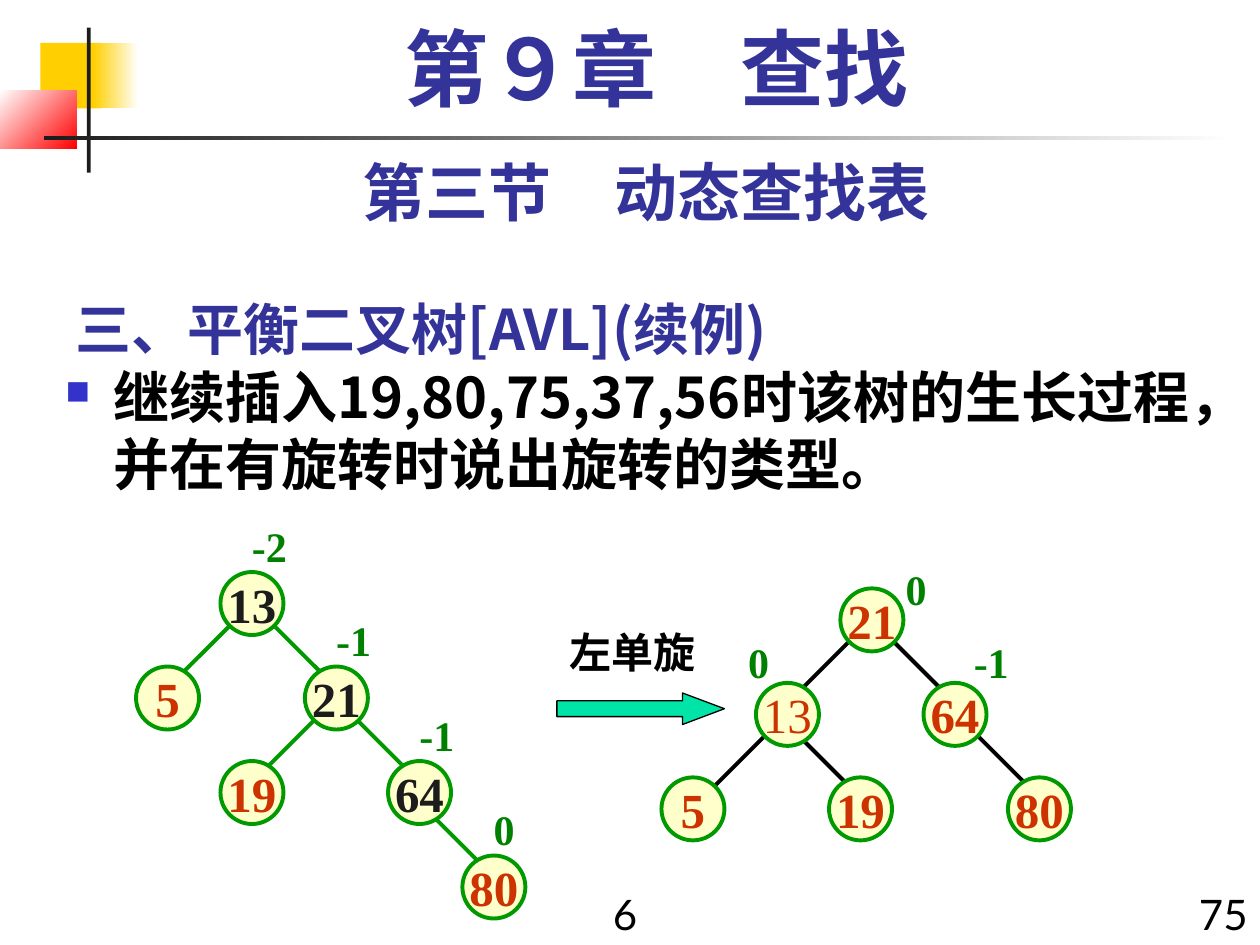
from collections import namedtuple

from lxml.etree import SubElement
from pptx import Presentation
from pptx.dml.color import RGBColor
from pptx.enum.shapes import MSO_CONNECTOR as Link, MSO_SHAPE as Kind
from pptx.enum.text import MSO_ANCHOR as Anchor, PP_ALIGN as Align
from pptx.oxml.ns import qn
from pptx.util import Inches, Pt

YELLOW = RGBColor(0xFF, 0xCF, 0x01)
WHITE = RGBColor(0xFF, 0xFF, 0xFF)
RED = RGBColor(0xFF, 0x00, 0x00)
INK = RGBColor(0x1C, 0x1C, 0x1C)
BLACK = RGBColor(0x00, 0x00, 0x00)
INDIGO = RGBColor(0x33, 0x33, 0x99)
CREAM = RGBColor(0xFF, 0xFF, 0xCC)
GREEN = RGBColor(0x00, 0x99, 0x00)
DARK_GREEN = RGBColor(0x00, 0x80, 0x00)
RUST = RGBColor(0xCC, 0x33, 0x00)
MINT = RGBColor(0x00, 0xE4, 0xA8)

SANS, LATO, SERIF = "Noto Sans CJK SC", "Lato", "Times New Roman"
NODE_SIZE, LEVEL_STEP = 0.5, 0.75

Node = namedtuple("Node", "key left level color bold balance edges", defaults=(None, ()))

UNBALANCED = [
    Node("13", 0.67, 0, INK, True, ("-2", 0.15, -0.46), [(0.08, 0.42, -0.41), (0.42, 0.42, 0.41)]),
    Node("5", 0, 1, RUST, True),
    Node("21", 1.34, 1, INK, True, ("-1", 0.15, -0.46), [(0.08, 0.42, -0.5), (0.41, 0.42, 0.42)]),
    Node("19", 0.67, 2, RUST, True),
    Node("64", 2, 2, INK, True, ("-1", 0.15, -0.46), [(0.34, 0.42, 0.5)]),
    Node("80", 2.59, 3, RUST, True, ("0", 0.15, -0.46)),
]
BALANCED = [
    Node("21", 1.42, 0, RUST, True, ("0", 0.42, -0.25), [(0.08, 0.41, -0.42), (0.33, 0.33, 0.5)]),
    Node("13", 0.75, 1, RUST, False, ("0", -0.16, -0.42), [(0.08, 0.41, -0.42), (0.33, 0.41, 0.5)]),
    Node("64", 2.08, 1, RUST, True, ("-1", 0.3, -0.42), [(0.34, 0.33, 0.5)]),
    Node("5", 0, 2, RUST, True),
    Node("19", 1.33, 2, RUST, True),
    Node("80", 2.75, 2, RUST, True),
]


def apply(target, formats):
    """Set each attribute of the target from a dict."""
    for name, value in formats.items():
        setattr(target, name, value)


def write(shape, text, size, font, color, bold=True, wrap=True, anchor=Anchor.TOP, **layout):
    """Fill a shape with one formatted paragraph and return it."""
    frame = shape.text_frame
    apply(frame, {"word_wrap": wrap, "vertical_anchor": anchor})
    para = frame.paragraphs[0]
    apply(para, {"alignment": Align.LEFT, **layout})
    span = para.add_run()
    span.text = text
    apply(span.font, {"size": Pt(size), "name": font, "bold": bold})
    span.font.color.rgb = color
    SubElement(span.font._element, qn("a:ea"), typeface=SANS)
    return para


def add_text(page, box, text, size, font, color, **formats):
    """Add a text box at the given left, top, width and height."""
    shape = page.shapes.add_textbox(*map(Inches, box))
    return write(shape, text, size, font, color, **formats)


def add_solid(page, kind, box, fill, line=None, width=1):
    """Add a filled preset shape, with an outline if a line colour is given."""
    shape = page.shapes.add_shape(kind, *map(Inches, box))
    shape.shadow.inherit = False
    shape.fill.solid()
    shape.fill.fore_color.rgb = fill
    if line is None:
        shape.line.fill.background()
    else:
        shape.line.color.rgb = line
        shape.line.width = Pt(width)
    return shape


def add_gradient(page, box, start, end, angle=0):
    """Add a rectangle that fades from one colour to another."""
    fill = add_solid(page, Kind.RECTANGLE, box, start).fill
    fill.gradient()
    fill.gradient_angle = angle
    for stop, color in zip(fill.gradient_stops, (start, end)):
        stop.color.rgb = color


def add_edge(page, left, top, run, color):
    """Draw a diagonal tree edge downward, to the left for a negative run."""
    ends = (left, top, left + run, top + abs(run))
    edge = page.shapes.add_connector(Link.STRAIGHT, *map(Inches, ends))
    edge.line.color.rgb = color
    edge.line.width = Pt(2.25)
    SubElement(edge._element.spPr, qn("a:effectLst"))


def draw_ornament(page, left, top):
    """Draw the coloured corner blocks and the crossing rules."""
    add_solid(page, Kind.RECTANGLE, (left + 0.32, top + 0.12, 0.48, 0.52), YELLOW)
    add_gradient(page, (left + 0.74, top + 0.12, 0.36, 0.52), YELLOW, WHITE)
    add_gradient(page, (left, top + 0.5, 0.61, 0.46), WHITE, RED, 315)
    add_solid(page, Kind.RECTANGLE, (left + 0.69, top, 0.03, 1.15), INK)
    add_gradient(page, (left + 0.35, top + 0.86, 9.45, 0.03), INK, WHITE)


def draw_headings(page):
    """Write the chapter, section and topic headings."""
    add_text(page, (0.67, 0.17, 9.08, 0.83), "第９章　查找", 48, SERIF, INDIGO,
             alignment=Align.CENTER, line_spacing=0.9, space_before=Pt(12))
    add_text(page, (0.5, 1.17, 9.25, 0.7), "第三节　动态查找表", 36, LATO, INDIGO,
             alignment=Align.CENTER, space_before=Pt(22.5))
    add_text(page, (0.5, 2.17, 7.75, 0.75), "三、平衡二叉树[AVL](续例)", 32, SANS, INDIGO,
             anchor=Anchor.BOTTOM)


def draw_task(page, box):
    """Write the bulleted exercise."""
    para = add_text(page, box, "继续插入19,80,75,37,56时该树的生长过程，并在有旋转时说出旋转的类型。",
                    32, SANS, BLACK, space_before=Pt(12))
    settings = para._p.get_or_add_pPr()
    settings.set("marL", str(Inches(0.38)))
    settings.set("indent", str(Inches(-0.38)))
    SubElement(SubElement(settings, qn("a:buClr")), qn("a:srgbClr"), val="3333CC")
    SubElement(settings, qn("a:buSzPct"), val="60000")
    SubElement(settings, qn("a:buChar"), char="■")


def draw_tree(page, left, top, nodes, edge_color):
    """Draw a tree with its edges behind the nodes and its balance factors."""
    placed = [(node, left + node.left, top + node.level * LEVEL_STEP) for node in nodes]
    for node, x, y in placed:
        for dx, dy, run in node.edges:
            add_edge(page, x + dx, y + dy, run, edge_color)
    for node, x, y in placed:
        circle = add_solid(page, Kind.OVAL, (x, y, NODE_SIZE, NODE_SIZE), CREAM, GREEN, 2.25)
        write(circle, node.key, 28, SERIF, node.color, bold=node.bold, wrap=False,
              anchor=Anchor.MIDDLE, alignment=Align.CENTER)
        if node.balance:
            factor, dx, dy = node.balance
            width = 0.36 if len(factor) == 1 else 0.48
            add_text(page, (x + dx, y + dy, width, 0.5), factor, 24, SERIF, DARK_GREEN, wrap=False)


def draw_rotation(page, left, top):
    """Draw the labelled arrow between the trees."""
    add_text(page, (left, top, 1.2, 0.5), "左单旋", 24, SERIF, BLACK, wrap=False)
    arrow = add_solid(page, Kind.RIGHT_ARROW, (left, top + 0.58, 1.33, 0.25), MINT, BLACK, 0.75)
    arrow.adjustments[1] = 1.33


def draw_numbers(page, top):
    """Write the two numbers at the foot of the page."""
    for text, left, width, align in (("6", 4.67, 0.58, Align.CENTER), ("75", 9.33, 0.67, Align.RIGHT)):
        add_text(page, (left, top, width, 0.5), text, 24, LATO, BLACK, bold=False,
                 alignment=align, space_before=Pt(15))


def main():
    """Build the slide and save the deck."""
    deck = Presentation()
    apply(deck, {"slide_width": Inches(10), "slide_height": Inches(7.5)})
    page = deck.slides.add_slide(deck.slide_layouts[6])
    draw_ornament(page, 0, 0.22)
    draw_headings(page)
    draw_task(page, (0.42, 2.83, 9.58, 4.67))
    draw_numbers(page, 7)
    draw_tree(page, 1.08, 4.54, UNBALANCED, GREEN)
    draw_tree(page, 5.25, 4.67, BALANCED, BLACK)
    draw_rotation(page, 4.42, 4.92)
    deck.save("out.pptx")


if __name__ == "__main__":
    main()
